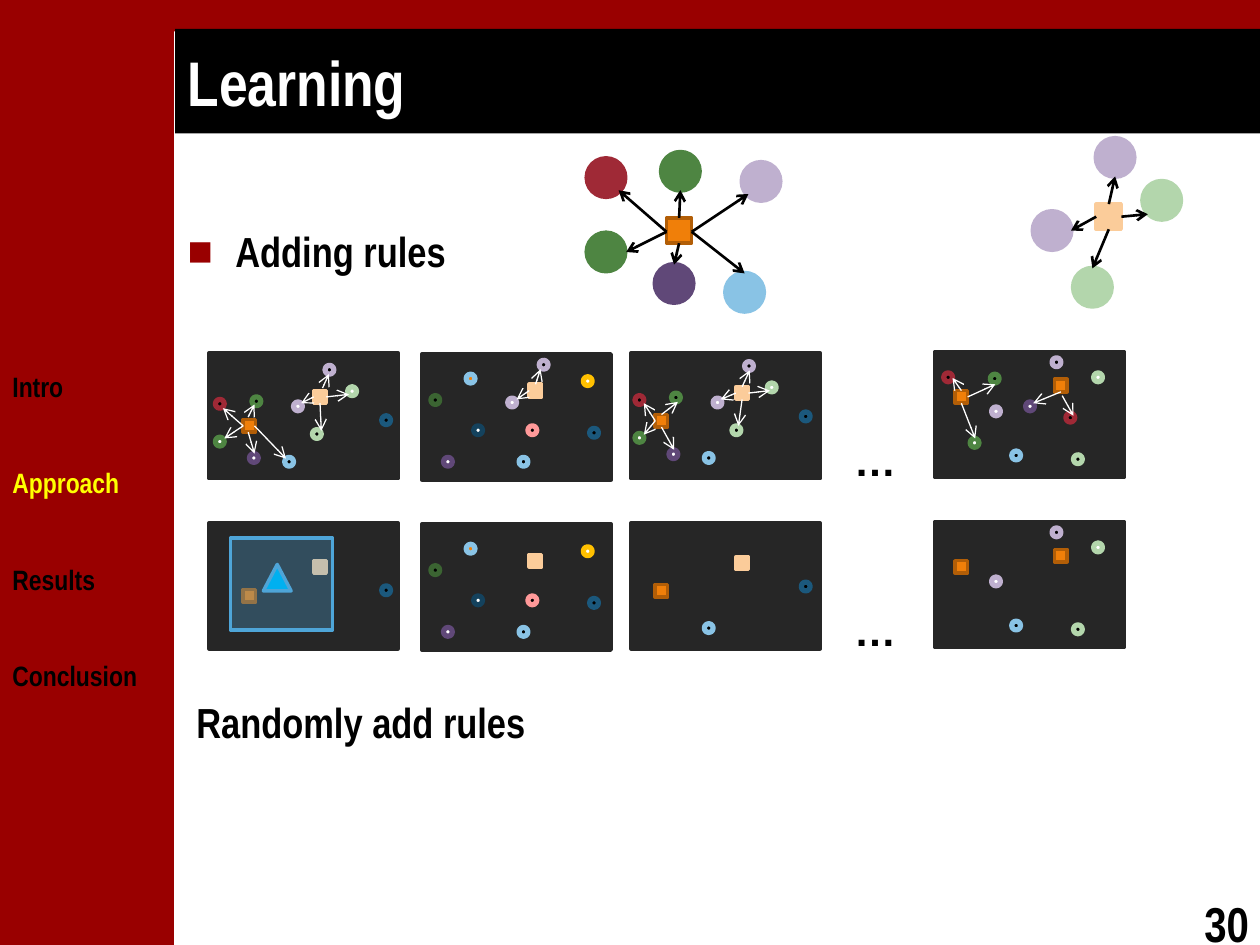
import pptx
import pptx.dml.color
import pptx.enum.shapes
import pptx.enum.text
import pptx.oxml
import pptx.oxml.ns
import pptx.util

EMU_PER_PX = 9144  # 100 px to the inch
RED, BLACK, WHITE, YELLOW = "990000", "000000", "FFFFFF", "FFFF00"
BOARD, PANEL, CURSOR = "262626", "4EA5D8", "00B0F0"
CRIMSON, NAVY, PURPLE, SKY = "9F2936", "1B587C", "604878", "89C3E5"
MINT, LILAC, GREEN, FOREST = "B3D6AC", "BFB0CF", "4E8542", "3B6432"
PINK, TEAL, GOLD = "FF9999", "14425D", "FFC000"
ORANGE, RUST, PEACH = "F07F09", "B25E07", "FBCC9A"
AGENT, GOAL = (ORANGE, RUST), (PEACH, PEACH)  # fill and outline

SHAPE = pptx.enum.shapes.MSO_SHAPE
ALIGN = pptx.enum.text.PP_ALIGN
ANCHOR = pptx.enum.text.MSO_ANCHOR


def px(*lengths):
    return [pptx.util.Emu(length * EMU_PER_PX) for length in lengths]


def rgb(color):
    return pptx.dml.color.RGBColor.from_string(color)


def assign(target, formats):
    for name, value in formats.items():
        setattr(target, name, value)


def append_xml(parent, tag, **attributes):
    child = pptx.oxml.parse_xml(f'<a:{tag} {pptx.oxml.ns.nsdecls("a")}/>')
    for name, value in attributes.items():
        child.set(name, value)
    parent.append(child)
    return child


class Canvas:
    font = "Arial Narrow"

    def __init__(self, slide):
        self.slide = slide
        self.shapes = slide.shapes

    def group(self):
        """Send the following shapes to a new group."""
        self.shapes = self.slide.shapes.add_group_shape().shapes

    def ungroup(self):
        self.shapes = self.slide.shapes

    def shape(self, kind, box, fill, outline=None, weight=2, alpha=None):
        shape = self.shapes.add_shape(kind, *px(*box))
        shape.shadow.inherit = False
        shape.fill.solid()
        shape.fill.fore_color.rgb = rgb(fill)
        if alpha:
            color = shape._element.spPr.find(".//" + pptx.oxml.ns.qn("a:srgbClr"))
            append_xml(color, "alpha", val=str(alpha * 1000))
        if outline:
            shape.line.color.rgb = rgb(outline)
            shape.line.width = pptx.util.Pt(weight)
        else:
            shape.line.fill.background()
        return shape

    def dot(self, x, y, ring, core):
        self.shape(SHAPE.OVAL, (x, y, 7, 7), core, ring, 3)

    def square(self, x, y, colors, size=10):
        self.shape(SHAPE.RECTANGLE, (x, y, size, size), *colors)

    def arrow(self, x1, y1, x2, y2, color=WHITE, weight=0.75):
        connector = self.shapes.add_connector(
            pptx.enum.shapes.MSO_CONNECTOR.STRAIGHT, *px(x1, y1, x2, y2))
        connector.line.color.rgb = rgb(color)
        connector.line.width = pptx.util.Pt(weight)
        properties = connector._element.spPr
        append_xml(properties.find(pptx.oxml.ns.qn("a:ln")), "tailEnd", type="arrow")
        append_xml(properties, "effectLst")

    def fill_text(self, frame, lines, size, gap=0, wrap=True, bullet=None, font=None,
                  align=ALIGN.LEFT, anchor=ANCHOR.TOP):
        """Fill a text frame with (text, color) lines, gap points apart."""
        assign(frame, {"word_wrap": wrap, "vertical_anchor": anchor})
        for index, (text, color) in enumerate(lines):
            paragraph = frame.add_paragraph() if index else frame.paragraphs[0]
            paragraph.alignment = align
            if index:
                paragraph.space_before = pptx.util.Pt(gap)
            if bullet:
                self.bullet(paragraph, bullet)
            run = paragraph.add_run()
            run.text = text
            assign(run.font, {"name": font or self.font, "bold": True,
                              "size": pptx.util.Pt(size)})
            run.font.color.rgb = rgb(color)

    def bullet(self, paragraph, color):
        properties = paragraph._p.get_or_add_pPr()
        indent = px(38)[0]
        properties.set("marL", str(indent))
        properties.set("indent", str(-indent))
        append_xml(append_xml(properties, "buClr"), "srgbClr", val=color)
        append_xml(properties, "buFont", typeface="Arial")
        append_xml(properties, "buChar", char="■")

    def text(self, box, lines, size, **options):
        label = self.shapes.add_textbox(*px(*box))
        self.fill_text(label.text_frame, lines, size, **options)

    def network(self, hub, colors, nodes):
        """Draw a large square whose arrows reach the circles around it."""
        self.group()
        for x, y, color, *_ in nodes:
            self.shape(SHAPE.OVAL, (x, y, 30, 30), color, color, 3)
        self.square(*hub, colors, 20)
        for _, _, _, *ends in nodes:
            self.arrow(*ends, BLACK, 1.5)
        self.ungroup()


SCENE = [
    (171, 317, CRIMSON, BLACK), (303, 330, NAVY, BLACK), (198, 360, PURPLE, WHITE),
    (226, 363, SKY, BLACK), (248, 341, MINT, BLACK), (233, 319, LILAC, WHITE),
    (200, 315, GREEN, BLACK), (171, 347, GREEN, WHITE), (276, 307, MINT, WHITE),
    (258, 290, LILAC, BLACK)]
# Each board: corner, dots, indices of dots the rules remove, squares, arrows
BOARDS = [
    ((166, 280), SCENE, {0, 2, 3, 4, 5, 6, 7, 8, 9},
     [(249, 310, GOAL), (193, 333, AGENT)],
     [(197, 343, 202, 360), (197, 331, 202, 321), (193, 338, 178, 348),
      (193, 338, 177, 324), (202, 338, 227, 364), (249, 315, 239, 320),
      (259, 315, 277, 313), (256, 308, 261, 297), (254, 320, 255, 342)]),
    ((335, 281),
     [(342, 314, FOREST, BLACK), (468, 340, NAVY, BLACK), (352, 363, PURPLE, WHITE),
      (412, 363, SKY, BLACK), (419, 338, PINK, BLACK), (403, 316, LILAC, WHITE),
      (370, 297, SKY, ORANGE), (376, 338, TEAL, WHITE), (463, 299, GOLD, WHITE),
      (428, 286, LILAC, BLACK)], {5, 9},
     [(420, 305, GOAL)],
     [(425, 305, 429, 293), (420, 310, 410, 317)]),
    ((501, 280), [(x + 333, y - 3, *colors) for x, y, *colors in SCENE],
     {0, 2, 4, 5, 6, 7, 8, 9},
     [(584, 307, GOAL), (520, 329, AGENT)],
     [(525, 329, 538, 319), (520, 334, 511, 345), (525, 339, 535, 357),
      (520, 334, 511, 320), (584, 312, 572, 317), (594, 312, 611, 310),
      (589, 307, 595, 294), (589, 317, 586, 338)]),
    ((742, 279),
     [(749, 296, CRIMSON, BLACK), (846, 328, CRIMSON, BLACK),
      (814, 319, PURPLE, WHITE), (803, 358, SKY, BLACK), (852, 361, MINT, BLACK),
      (787, 323, LILAC, WHITE), (786, 297, GREEN, BLACK), (770, 348, GREEN, WHITE),
      (868, 296, MINT, WHITE), (835, 284, LILAC, BLACK)], {0, 1, 2, 6, 7},
     [(758, 310, AGENT), (837, 301, AGENT)],
     [(763, 310, 756, 300), (768, 315, 790, 305), (763, 320, 774, 348),
      (842, 311, 820, 320), (843, 314, 852, 330)]),
]
# Each node: circle corner and color, then arrow start and tip
AGENT_NODES = [
    (466, 126, CRIMSON, 529, 184, 491, 151), (520, 210, PURPLE, 539, 193, 535, 210),
    (576, 217, SKY, 549, 184, 591, 217), (589, 129, LILAC, 549, 184, 594, 154),
    (525, 121, GREEN, 539, 173, 540, 151), (466, 185, GREEN, 529, 184, 497, 200)]
GOAL_NODES = [
    (852, 213, MINT, 880, 182, 867, 213), (820, 168, LILAC, 870, 172, 850, 183),
    (907, 144, MINT, 890, 172, 911, 170), (870, 110, LILAC, 880, 162, 885, 140)]
ROW_STEP = 135


def draw_boards(canvas, step, after_rules):
    for (left, top), *_ in BOARDS:
        canvas.shape(SHAPE.RECTANGLE, (left, top + step, 150, 100), BOARD, BOARD)
    canvas.text((652, 340 + step, 85, 51), [("…", BLACK)], 24,
                font="Arial", align=ALIGN.CENTER)
    for _, dots, removed, squares, arrows in BOARDS:
        for index, (x, y, ring, core) in enumerate(dots):
            if not (after_rules and index in removed):
                canvas.dot(x, y + step, ring, core)
        for x, y, colors in squares:
            canvas.square(x, y + step, colors)
        for ends in [] if after_rules else arrows:
            canvas.arrow(*ends)


def main():
    deck = pptx.Presentation()
    deck.slide_width, deck.slide_height = px(1000, 750)
    canvas = Canvas(deck.slides.add_slide(deck.slide_layouts[6]))

    canvas.shape(SHAPE.RECTANGLE, (0, 0, 138, 750), RED)
    canvas.shape(SHAPE.RECTANGLE, (0, 0, 1000, 25), RED)
    canvas.text((946, 704, 59, 57), [("30", BLACK)], 28, wrap=False)
    canvas.text((139, 174, 300, 50), [("Adding rules", BLACK)], 24, bullet=RED)
    canvas.text((146, 548, 400, 50), [("Randomly add rules", BLACK)], 24)

    draw_boards(canvas, 0, after_rules=False)
    draw_boards(canvas, ROW_STEP, after_rules=True)
    canvas.network((529, 173), AGENT, AGENT_NODES)
    canvas.network((870, 162), GOAL, GOAL_NODES)

    title = canvas.shape(SHAPE.RECTANGLE, (139, 23, 861, 83), BLACK)
    canvas.fill_text(title.text_frame, [("Learning", WHITE)], 36, anchor=ANCHOR.MIDDLE)
    canvas.shape(SHAPE.RECTANGLE, (183, 427, 81, 73), PANEL, PANEL, alpha=31)
    canvas.shape(SHAPE.ISOSCELES_TRIANGLE, (209, 448, 22, 21), CURSOR, PANEL)
    canvas.text((0, 288, 135, 288),
                [("Intro", BLACK), ("Approach", YELLOW), ("Results", BLACK),
                 ("Conclusion", BLACK)], 16, gap=36)
    deck.save("out.pptx")


if __name__ == "__main__":
    main()
